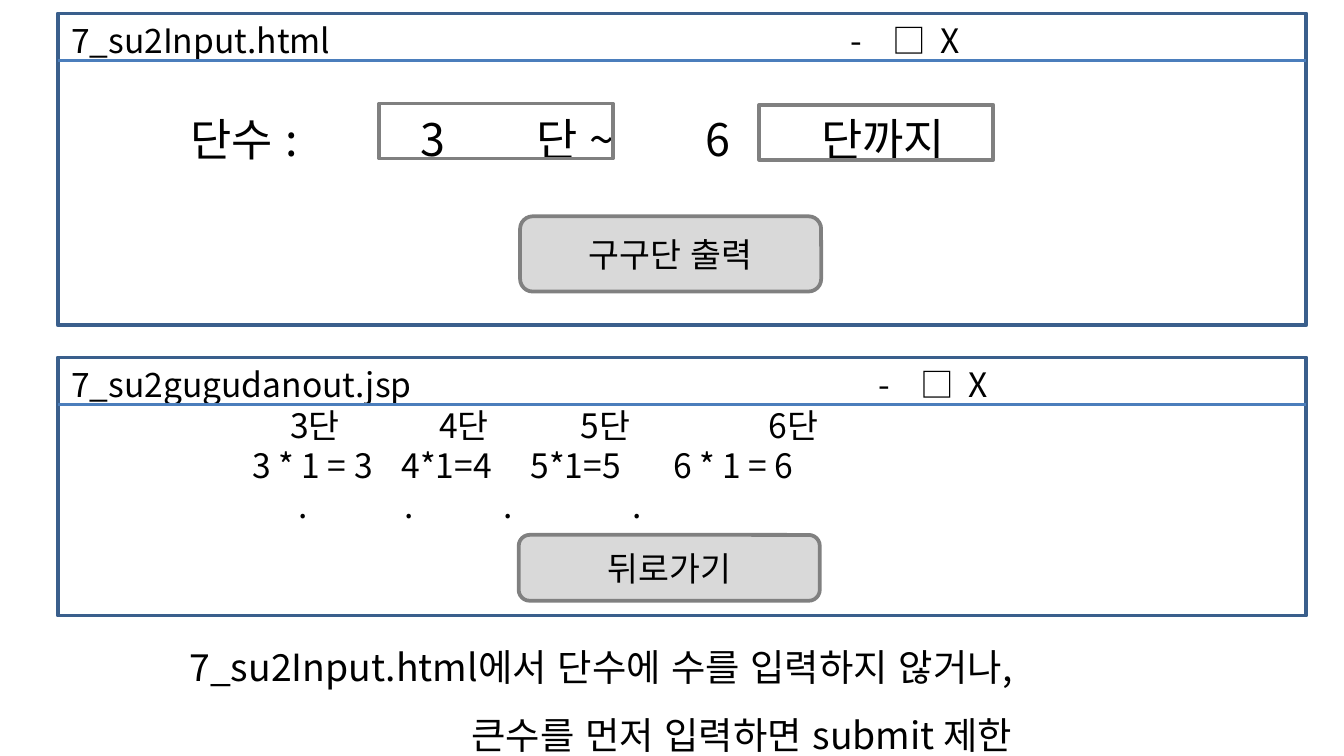
from dataclasses import dataclass

from lxml.etree import SubElement
from pptx import Presentation
from pptx.dml.color import RGBColor
from pptx.enum.lang import MSO_LANGUAGE_ID
from pptx.enum.shapes import MSO_CONNECTOR, MSO_SHAPE
from pptx.enum.text import MSO_ANCHOR, PP_ALIGN
from pptx.oxml.ns import qn
from pptx.util import Inches, Pt


@dataclass(frozen=True)
class Theme:
    """Colours, font and sizes of the slide."""
    font: str = "Noto Sans CJK KR"
    text: str = "000000"
    frame: str = "3A5F8C"
    divider: str = "4B7EBC"
    grey: str = "808080"
    button: str = "D9D9D9"
    body: int = 18
    note: int = 20
    form: int = 24
    line: int = 2


THEME = Theme()
BAR_HEIGHT = 0.35
BUTTON_WIDTH = 2.24


def style_para(para, size, tabs=()):
    """Format the runs of a paragraph and set its tab stops in inches."""
    for span in para.runs:
        span.font.size = Pt(size)
        span.font.name = THEME.font
        span.font.language_id = MSO_LANGUAGE_ID.KOREAN
        span.font.color.rgb = RGBColor.from_string(THEME.text)
        span.font._element.set("kern", "0")
        SubElement(span.font._element, qn("a:ea"), typeface=THEME.font)
    if tabs:
        stops = SubElement(para._p.get_or_add_pPr(), qn("a:tabLst"))
        for stop in tabs:
            SubElement(stops, qn("a:tab"), pos=str(Inches(stop)), algn="l")


def write_lines(frame, lines, size, spacing=None):
    """Write (text, tab stops) pairs as left-aligned paragraphs."""
    frame.word_wrap = True
    frame.text = "\n".join(text for text, _ in lines)
    for para, (_, tabs) in zip(frame.paragraphs, lines):
        para.alignment = PP_ALIGN.LEFT
        para.line_spacing = spacing
        style_para(para, size, tabs)


def add_box(page, left, top, width, height, color, fill=None, kind=MSO_SHAPE.RECTANGLE):
    """Add an outlined shape, filled only when a fill is given."""
    box = page.shapes.add_shape(kind, Inches(left), Inches(top), Inches(width), Inches(height))
    box.shadow.inherit = False
    box.line.color.rgb = RGBColor.from_string(color)
    box.line.width = Pt(THEME.line)
    if fill:
        box.fill.solid()
        box.fill.fore_color.rgb = RGBColor.from_string(fill)
    else:
        box.fill.background()
    return box


def add_text(page, left, top, width, height, lines, size, spacing=None):
    """Add a text box with the given lines."""
    box = page.shapes.add_textbox(Inches(left), Inches(top), Inches(width), Inches(height))
    write_lines(box.text_frame, lines, size, spacing)


def add_button(page, left, top, height, label):
    """Add a grey rounded button with a centred label."""
    button = add_box(page, left, top, BUTTON_WIDTH, height, THEME.grey,
                     THEME.button, MSO_SHAPE.ROUNDED_RECTANGLE)
    frame = button.text_frame
    frame.text = label
    frame.vertical_anchor = MSO_ANCHOR.MIDDLE
    frame.paragraphs[0].alignment = PP_ALIGN.CENTER
    style_para(frame.paragraphs[0], THEME.body)


def add_window(page, left, top, width, height, title, controls, lines=()):
    """Add a window with a title bar; controls is where its symbols start."""
    window = add_box(page, left, top, width, height, THEME.frame)
    window.text_frame.vertical_anchor = MSO_ANCHOR.TOP
    stops = (controls, controls + 0.31, controls + 0.67)
    write_lines(window.text_frame, [(f"{title}\t-\t□\tX", stops), *lines], THEME.body)
    bar = Inches(top + BAR_HEIGHT)
    divider = page.shapes.add_connector(
        MSO_CONNECTOR.STRAIGHT, Inches(left), bar, Inches(left + width), bar)
    divider.line.color.rgb = RGBColor.from_string(THEME.divider)
    divider.line.width = Pt(THEME.line)
    SubElement(divider._element.spPr, qn("a:effectLst"))


def add_input_window(page, left, top, width, height):
    """Add the input form with two fields and a button."""
    form = [("단수 :\t3\t단 ~\t6\t단까지", (1.71, 2.57, 3.83, 4.69))]
    add_text(page, left + 0.89, top + 0.68, 7.31, 0.5, form, THEME.form)
    add_window(page, left, top, width, height, "7_su2Input.html", 5.8)
    for field_left, field_top in ((2.39, 0.67), (5.22, 0.68)):
        add_box(page, left + field_left, top + field_top, 1.74, 0.41, THEME.grey)
    add_button(page, left + 3.44, top + 1.51, 0.56, "구구단 출력")


def add_output_window(page, left, top, width, height):
    """Add the times-table output and its back button."""
    rows = [
        ("\t3단\t4단\t5단\t6단", (1.63, 2.74, 3.79, 5.19)),
        ("\t3 * 1 = 3\t4*1=4\t5*1=5\t6 * 1 = 6", (1.35, 2.46, 3.42, 4.48)),
        ("\t.\t.\t.\t.", (1.69, 2.48, 3.22, 4.18)),
    ]
    add_window(page, left, top, width, height, "7_su2gugudanout.jsp", 6.01, rows)
    add_button(page, left + 3.43, top + 1.32, 0.49, "뒤로가기")


def add_rule_note(page, left, top, width, height):
    """Add the note on when submitting is blocked."""
    lines = [("7_su2Input.html에서 단수에 수를 입력하지 않거나,", ()),
             ("\t큰수를 먼저 입력하면 submit 제한", (2.1,))]
    add_text(page, left, top, width, height, lines, THEME.note, 1.5)


def main():
    """Build and save the slide."""
    deck = Presentation()
    deck.slide_width = Inches(10)
    deck.slide_height = deck.slide_width * 9 // 16
    page = deck.slides.add_slide(deck.slide_layouts[6])
    add_input_window(page, 0.43, 0.1, 9.29, 2.32)
    add_output_window(page, 0.43, 2.66, 9.29, 1.92)
    add_rule_note(page, 1.31, 4.58, 7.19, 1.05)
    deck.save("out.pptx")


main()
